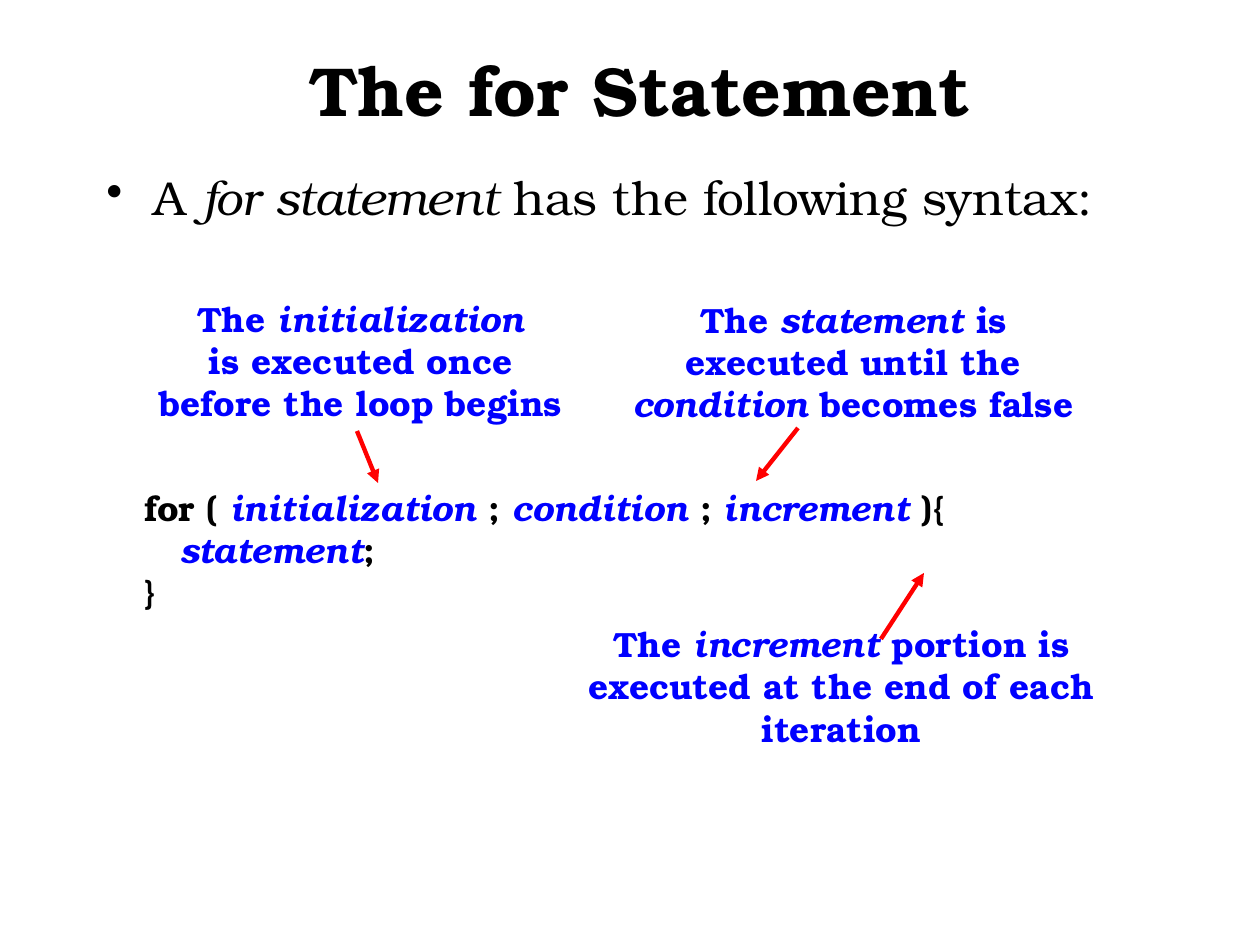
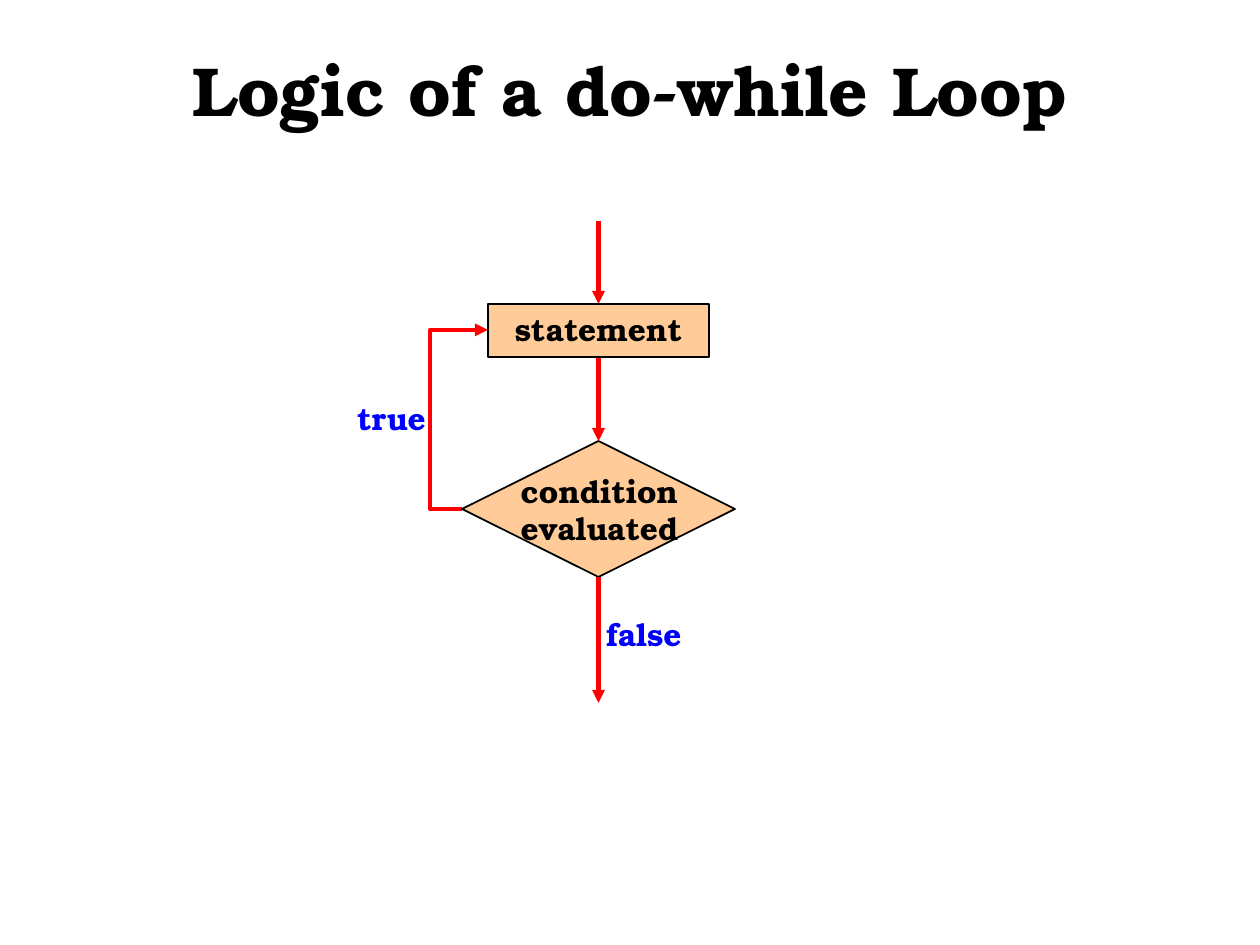
"""Builds two slides on loop statements."""
from lxml.etree import SubElement
from pptx import Presentation
from pptx.dml.color import RGBColor
from pptx.enum.shapes import MSO_CONNECTOR, MSO_SHAPE
from pptx.enum.text import MSO_ANCHOR, MSO_AUTO_SIZE, PP_ALIGN
from pptx.oxml.ns import qn
from pptx.util import Pt

SCALE = 914400 / 126
FONT = "TeX Gyre Bonum"
COLOURS = {"ink": "000000", "accent": "0000FF", "arrow": "FF0000", "node": "FFCC99"}


def emu(pixels):
    """Turn pixels into EMU."""
    return round(pixels * SCALE)


def colour(name):
    """Look up a named colour."""
    return RGBColor.from_string(COLOURS[name])


class Deck:
    """Holds the shared style and the current slide."""

    def __init__(self):
        """Open an empty 10 by 7.5 inch deck."""
        self.deck = Presentation()
        self.deck.slide_width = emu(1260)
        self.deck.slide_height = emu(945)
        self.page = None

    def add_page(self, title, left):
        """Start a slide and format its title."""
        self.page = self.deck.slides.add_slide(self.deck.slide_layouts[5])
        box = self.page.shapes.title
        box.left, box.top, box.width, box.height = map(emu, (left, 42, 1092, 94))
        frame = box.text_frame
        frame.word_wrap = True
        frame.auto_size = MSO_AUTO_SIZE.NONE
        frame.vertical_anchor = MSO_ANCHOR.MIDDLE
        para = frame.paragraphs[0]
        para.alignment = PP_ALIGN.CENTER
        self.add_runs(para, title, 39.6)

    def add_runs(self, para, text, size, ink="ink", accent=None, bold=True):
        """Add runs, with the parts between asterisks in italic."""
        for index, part in enumerate(text.split("*")):
            if part:
                italic = index % 2 == 1
                span = para.add_run()
                span.text = part
                span.font.name = FONT
                span.font.size = Pt(size)
                span.font.bold = bold
                span.font.italic = italic
                span.font.color.rgb = colour(accent if italic and accent else ink)

    def text(self, area, lines, size=20, ink="accent", accent=None,
             align=PP_ALIGN.CENTER, wrap=False):
        """Add a bold text box with one paragraph per line."""
        box = self.page.shapes.add_textbox(*map(emu, area))
        frame = box.text_frame
        frame.word_wrap = wrap
        frame.auto_size = MSO_AUTO_SIZE.SHAPE_TO_FIT_TEXT
        frame.vertical_anchor = MSO_ANCHOR.MIDDLE
        for index, line in enumerate(lines):
            para = frame.add_paragraph() if index else frame.paragraphs[0]
            para.alignment = align
            self.add_runs(para, line, size, ink, accent)
        return frame

    def bullet(self, area, text):
        """Add a bulleted line with a hanging indent."""
        frame = self.page.shapes.add_textbox(*map(emu, area)).text_frame
        frame.word_wrap = True
        para = frame.paragraphs[0]
        para.line_spacing = 0.9
        para.space_before = Pt(5.4)
        self.add_runs(para, text, 27.2, bold=False)
        self.indent(para, 47, -47)
        SubElement(para._p.get_or_add_pPr(), qn("a:buChar")).set("char", "•")

    def indent(self, para, left, first=0):
        """Set the left margin and first line indent."""
        properties = para._p.get_or_add_pPr()
        properties.set("marL", str(emu(left)))
        properties.set("indent", str(emu(first)))

    def node(self, preset, area):
        """Add a flowchart outline."""
        shape = self.page.shapes.add_shape(preset, *map(emu, area))
        shape.shadow.inherit = False
        shape.fill.solid()
        shape.fill.fore_color.rgb = colour("node")
        shape.line.color.rgb = colour("ink")
        shape.line.width = Pt(1)

    def arrow(self, start, end, bend=None):
        """Add an arrow, bent at the given x position if there is one."""
        kind = MSO_CONNECTOR.STRAIGHT if bend is None else MSO_CONNECTOR.ELBOW
        line = self.page.shapes.add_connector(kind, *map(emu, start + end))
        line.line.color.rgb = colour("arrow")
        line.line.width = Pt(2.5)
        properties = line._element.spPr
        SubElement(properties.get_or_add_ln(), qn("a:tailEnd")).set("type", "triangle")
        SubElement(properties, qn("a:effectLst"))
        if bend is not None:
            ratio = (bend - start[0]) / (end[0] - start[0])
            adjustments = properties.find(qn("a:prstGeom")).find(qn("a:avLst"))
            guide = SubElement(adjustments, qn("a:gd"))
            guide.set("name", "adj1")
            guide.set("fmla", f"val {round(ratio * 100000)}")


def for_statement(deck):
    """Build the slide on for syntax."""
    deck.add_page("The for Statement", 94)
    deck.bullet((94, 168, 1092, 110), "A *for statement* has the following syntax:")
    code = deck.text(
        (132, 480, 833, 140),
        ["for ( *initialization* ; *condition* ; *increment* ){", "*statement*;", "}"],
        ink="ink", accent="accent", align=PP_ALIGN.LEFT)
    deck.indent(code.paragraphs[1], 36)
    deck.text((145, 291, 432, 140),
              ["The *initialization*", "is executed once", "before the loop begins"])
    deck.arrow((357, 431), (378, 483))
    deck.text((620, 292, 467, 139),
              ["The *statement* is", "executed until the", "*condition* becomes false"])
    deck.arrow((798, 428), (756, 481))
    deck.text((525, 616, 633, 140),
              ["The *increment* portion is executed at the end of each iteration"],
              wrap=True)
    deck.arrow((881, 639), (924, 573))


def do_while_logic(deck):
    """Build the do-while flowchart."""
    deck.add_page("Logic of a do-while Loop", 84)
    middle = 598.5
    deck.text((344, 393, 95, 50), ["true"], 18)
    deck.arrow((462, 509), (488, 330), bend=430)
    deck.node(MSO_SHAPE.DIAMOND, (462, 441, 273, 136))
    deck.text((507, 465, 185, 89), ["condition", "evaluated"], 18, "ink")
    for top, bottom in ((355, 441), (221, 304), (577, 703)):
        deck.arrow((middle, top), (middle, bottom))
    deck.node(MSO_SHAPE.RECTANGLE, (488, 304, 221, 53))
    deck.text((501, 304, 195, 50), ["statement"], 18, "ink")
    deck.text((593, 609, 102, 50), ["false"], 18)


lesson = Deck()
for_statement(lesson)
do_while_logic(lesson)
lesson.deck.save("out.pptx")
